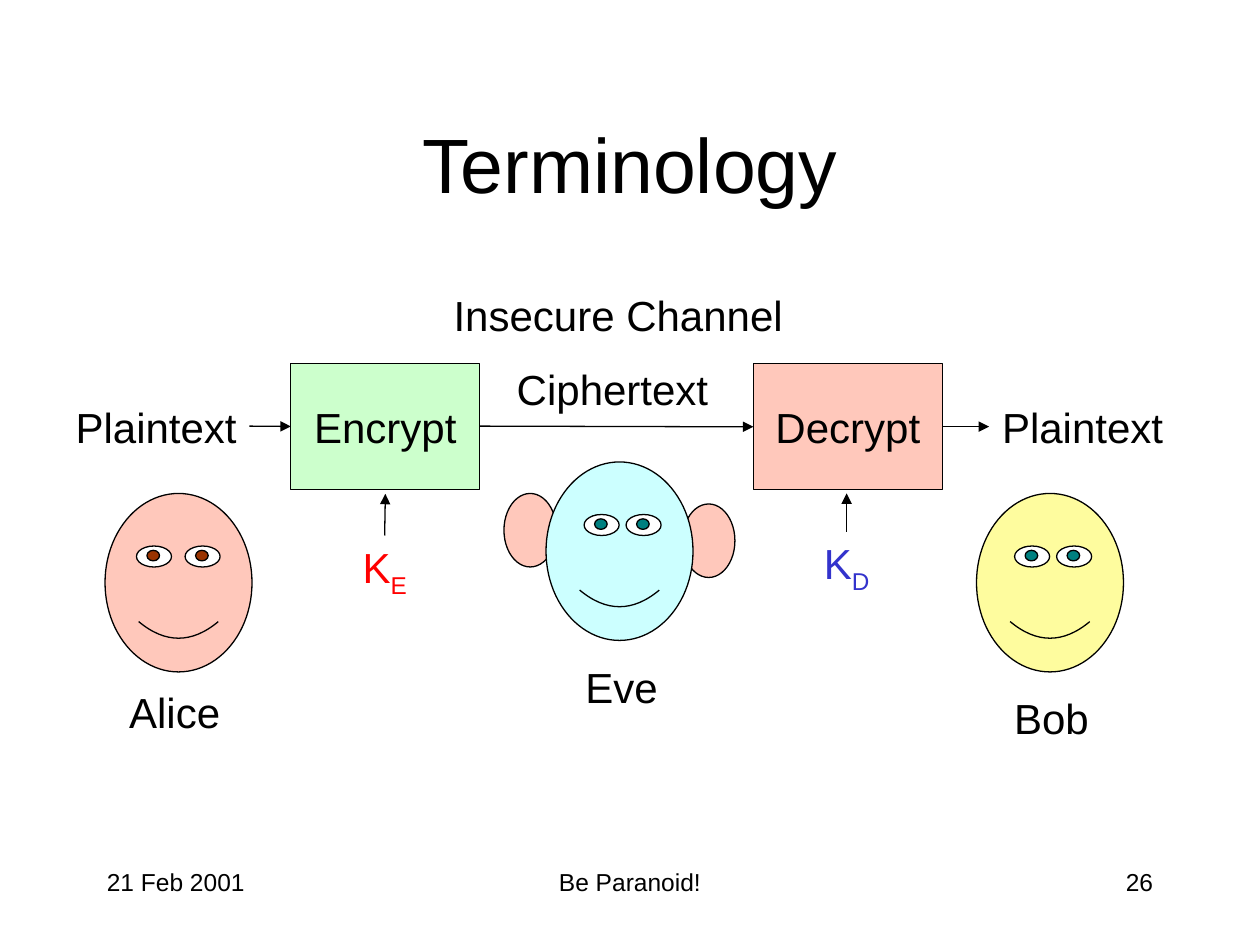
from lxml import etree
from pptx import Presentation
from pptx import util as u
from pptx.dml.color import RGBColor
from pptx.enum import shapes, text
from pptx.oxml.ns import qn

Pt = u.Pt
COLORS = {
    "black": "000000", "white": "FFFFFF", "green": "CCFFCC", "pink": "FFC8BB",
    "yellow": "FEFC9E", "cyan": "CCFFFF", "brown": "993300", "teal": "008080",
    "red": "FF0000", "blue": "3333CC",
}
KIND = shapes.MSO_SHAPE
ALIGN = text.PP_ALIGN
ANCHOR = text.MSO_ANCHOR


def draw(parent, kind, bounds, fill):
    """Add a filled preset shape with a thin black outline."""
    shape = parent.shapes.add_shape(kind, *map(Pt, bounds))
    shape.shadow.inherit = False
    shape.fill.solid()
    shape.fill.fore_color.rgb = RGBColor.from_string(COLORS[fill])
    shape.line.color.rgb = RGBColor.from_string(COLORS["black"])
    shape.line.width = Pt(0.75)
    return shape


def write(box, words, size=24, color="black", align=ALIGN.CENTER,
          anchor=ANCHOR.TOP, wrap=False, subscript=""):
    frame = box.text_frame
    frame.word_wrap = wrap
    frame.vertical_anchor = anchor
    para = frame.paragraphs[0]
    para.alignment = align
    for part in filter(None, (words, subscript)):
        span = para.add_run()
        span.text = part
        span.font.name = "Arial"
        span.font.size = Pt(size)
        span.font.color.rgb = RGBColor.from_string(COLORS[color])
    if subscript:
        span.font._element.set("baseline", "-25000")


deck = Presentation()
deck.slide_width, deck.slide_height = Pt(720), Pt(540)
page = deck.slides.add_slide(deck.slide_layouts[6])

# Title and footer
for words, bounds, size, align, anchor in [
    ("Terminology", (54, 48, 612, 90), 44, ALIGN.CENTER, ANCHOR.MIDDLE),
    ("21 Feb 2001", (54, 492, 150, 36), 14, ALIGN.LEFT, ANCHOR.TOP),
    ("Be Paranoid!", (246, 492, 228, 36), 14, ALIGN.CENTER, ANCHOR.TOP),
    ("26", (516, 492, 150, 36), 14, ALIGN.RIGHT, ANCHOR.TOP),
]:
    box = page.shapes.add_textbox(*map(Pt, bounds))
    write(box, words, size, align=align, anchor=anchor, wrap=True)

# Cipher stages
for words, left, fill in [("Encrypt", 166.2, "green"), ("Decrypt", 430.5, "pink")]:
    stage = draw(page, KIND.RECTANGLE, (left, 207.8, 108, 72), fill)
    write(stage, words, anchor=ANCHOR.MIDDLE)

# Data and key arrows
for start_x, start_y, end_x, end_y in [
    (142.5, 243.5, 166.2, 243.7),
    (274.2, 243.5, 430.5, 243.9),
    (538.5, 243.8, 565.2, 243.8),
    (219.8, 306, 220.2, 282.2),
    (483.8, 303.8, 483.8, 282),
]:
    arrow = page.shapes.add_connector(
        shapes.MSO_CONNECTOR.STRAIGHT, *map(Pt, (start_x, start_y, end_x, end_y)))
    arrow.line.color.rgb = RGBColor.from_string(COLORS["black"])
    arrow.line.width = Pt(0.75)
    etree.SubElement(arrow.line._get_or_add_ln(), qn("a:tailEnd"), type="triangle")
    etree.SubElement(arrow._element.spPr, qn("a:effectLst"))

# People: the left eye sits at its own offset, the rest of the face is shared
eve = page.shapes.add_group_shape()
for left, top in [(288, 282), (390, 288)]:
    draw(eve, KIND.OVAL, (left, top, 30, 42), "pink")

for parent, left, top, fill, iris, left_eye in [
    (page, 60, 282, "pink", "brown", 18),
    (page, 558, 282, "yellow", "teal", 21.8),
    (eve, 312, 264, "cyan", "teal", 21.8),
]:
    face = draw(parent, KIND.SMILEY_FACE, (left, top, 84, 102), fill)
    face.adjustments[0] = 0.09
    for offset in (left_eye, 45.8):
        eye_x, eye_y = left + offset, top + 30
        draw(parent, KIND.OVAL, (eye_x, eye_y, 20, 12), "white")
        draw(parent, KIND.OVAL, (eye_x + 6, eye_y + 2.5, 7.2, 6), iris)

# Labels, each box wide enough to hold its words on one line
for parent, words, subscript, color, bounds in [
    (page, "Insecure Channel", "", "black", (250.2, 162, 206, 36)),
    (page, "Plaintext", "", "black", (34.2, 225.8, 110, 36)),
    (page, "Ciphertext", "", "black", (286, 204, 128, 36)),
    (page, "Plaintext", "", "black", (563.6, 225.8, 110, 36)),
    (page, "Alice", "", "black", (63.8, 388.8, 72, 36)),
    (page, "Bob", "", "black", (570.8, 392.2, 60, 36)),
    (eve, "Eve", "", "black", (325.2, 374.2, 60, 36)),
    (page, "K", "E", "red", (196.5, 306, 46.8, 40.5)),
    (page, "K", "D", "blue", (460.4, 303.8, 46.8, 40.5)),
]:
    label = parent.shapes.add_textbox(*map(Pt, bounds))
    write(label, words, color=color, subscript=subscript)
    label.text_frame.auto_size = text.MSO_AUTO_SIZE.SHAPE_TO_FIT_TEXT

deck.save("out.pptx")
